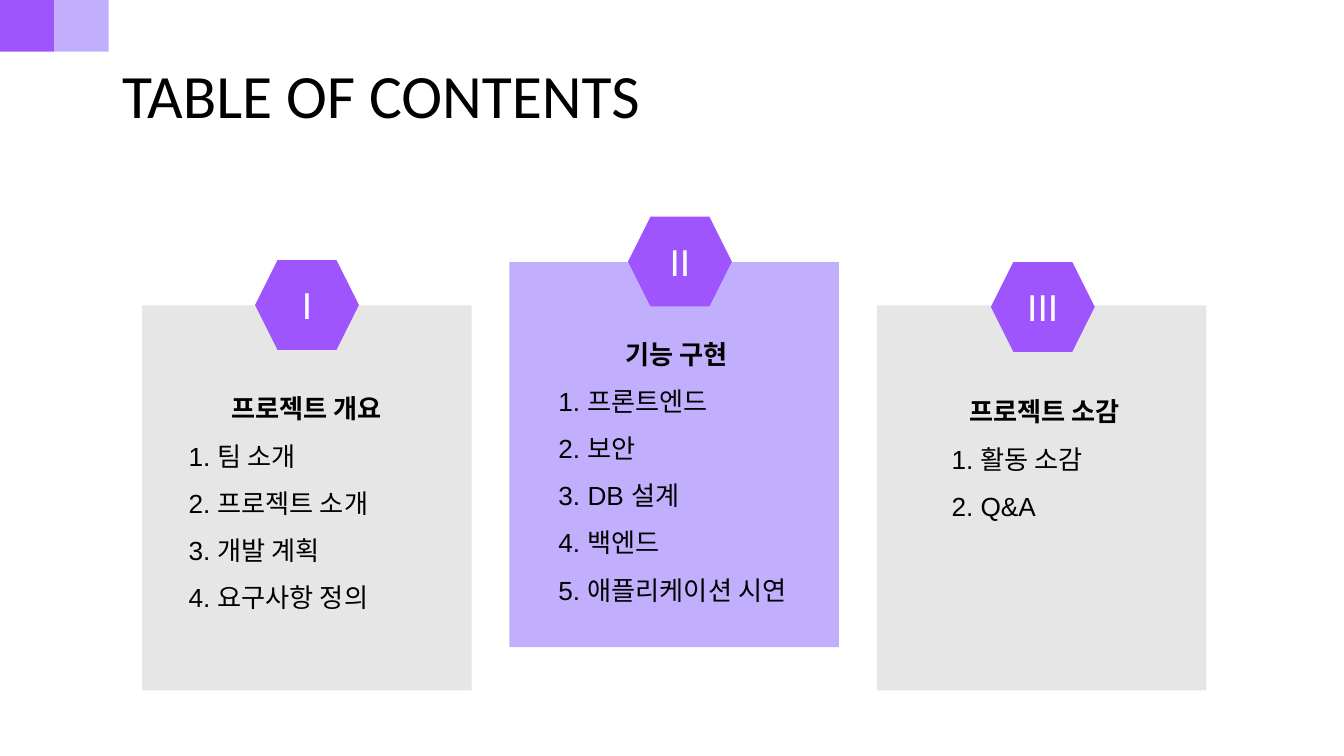
from dataclasses import dataclass

from lxml.etree import SubElement
from pptx import Presentation
from pptx.dml.color import RGBColor
from pptx.enum.shapes import MSO_SHAPE as Preset
from pptx.enum.text import MSO_ANCHOR as Anchor, MSO_AUTO_SIZE as AutoSize, PP_ALIGN as Align
from pptx.oxml.ns import qn
from pptx.shapes.base import BaseShape
from pptx.slide import Slide
from pptx.text.text import TextFrame
from pptx.util import Pt

PURPLE, LILAC, GRAY = "9F55FE", "C1AFFE", "E7E6E6"
BLACK, WHITE = "000000", "FFFFFF"
CARD_LEFT, CARD_STEP, CARD_W, CARD_H = 101.5, 262.4, 235.4, 275
HEX_W, HEX_H = 74.2, 64.1
INSET = 9.36

Box = tuple[float, float, float, float]


@dataclass
class Section:
    numeral: str
    heading: str
    items: list[str]
    fill: str
    top: float
    hexagon: tuple[float, float]
    text: Box


SECTIONS = [
    Section("I", "프로젝트 개요",
            ["팀 소개", "프로젝트 소개", "개발 계획", "요구사항 정의"],
            GRAY, 218.2, (182.2, 185.8), (125.3, 259.9, 187.2, 156.2)),
    Section("II", "기능 구현",
            ["프론트엔드", "보안", "DB 설계", "백엔드", "애플리케이션 시연"],
            LILAC, 187.2, (448.6, 154.8), (389.5, 221, 187.2, 156.2)),
    Section("III", "프로젝트 소감", ["활동 소감", "Q&A"],
            GRAY, 218.2, (707.8, 187.2), (670.3, 262.1, 151.9, 125.3)),
]


def rgb(color: str) -> RGBColor:
    return RGBColor.from_string(color)


def add_block(s: Slide, preset: Preset, box: Box, fill: str) -> BaseShape:
    sp = s.shapes.add_shape(preset, *map(Pt, box))
    sp.shadow.inherit = False
    sp.fill.solid()
    sp.fill.fore_color.rgb = rgb(fill)
    sp.line.fill.background()
    return sp


def place(sp: BaseShape, box: Box) -> None:
    """Move a placeholder to the box and bring it to the front."""
    sp.left, sp.top, sp.width, sp.height = map(Pt, box)
    sp.element.getparent().append(sp.element)


def set_frame(tf: TextFrame, anchor: Anchor) -> None:
    tf.word_wrap = True
    tf.auto_size = AutoSize.NONE
    tf.vertical_anchor = anchor
    tf.margin_left = tf.margin_right = tf.margin_top = tf.margin_bottom = Pt(INSET)


def add_line(tf: TextFrame, text: str, size: float, font: str = "Arial",
             color: str = BLACK, bold: bool = False,
             align: Align = Align.LEFT, spacing: float = 1.0) -> None:
    """Fill the empty first paragraph, or add one, without a bullet."""
    p = tf.paragraphs[0] if not tf.text else tf.add_paragraph()
    p.alignment, p.line_spacing = align, spacing
    p.space_before = p.space_after = Pt(0)
    pPr = p._p.get_or_add_pPr()
    pPr.set("marL", "0")
    pPr.set("indent", "0")
    SubElement(pPr, qn("a:buNone"))
    r = p.add_run()
    r.text = text
    r.font.name, r.font.size, r.font.bold = font, Pt(size), bold
    r.font.color.rgb = rgb(color)


def add_section(s: Slide, column: int, section: Section, body: BaseShape) -> None:
    left = CARD_LEFT + column * CARD_STEP
    add_block(s, Preset.RECTANGLE, (left, section.top, CARD_W, CARD_H), section.fill)

    sp = add_block(s, Preset.HEXAGON, (*section.hexagon, HEX_W, HEX_H), PURPLE)
    sp.adjustments[0] = 0.25
    set_frame(sp.text_frame, Anchor.MIDDLE)
    add_line(sp.text_frame, section.numeral, 26.7, color=WHITE, align=Align.CENTER)

    place(body, section.text)
    tf = body.text_frame
    set_frame(tf, Anchor.TOP)
    add_line(tf, section.heading, 18.7, "Calibri", bold=True,
             align=Align.CENTER, spacing=1.5)
    for number, item in enumerate(section.items, 1):
        add_line(tf, f"{number}. {item}", 18.7, spacing=1.5)


def main() -> None:
    prs = Presentation()
    prs.slide_width, prs.slide_height = Pt(960), Pt(540)
    comparison = prs.slide_layouts.get_by_name("Comparison")
    s = prs.slides.add_slide(comparison)
    title, *bodies = list(s.placeholders)

    place(title, (77.8, 37.4, 810.7, 60.5))
    set_frame(title.text_frame, Anchor.TOP)
    add_line(title.text_frame, "TABLE OF CONTENTS", 44, "Calibri", spacing=0.9)

    for column, (section, body) in enumerate(zip(SECTIONS, bodies)):
        add_section(s, column, section, body)
    for spare in bodies[len(SECTIONS):]:
        spare.element.getparent().remove(spare.element)

    for i, fill in enumerate((PURPLE, LILAC)):
        add_block(s, Preset.RECTANGLE, (i * 38.8, 0, 38.8, 37), fill)
    prs.save("out.pptx")


if __name__ == "__main__":
    main()
